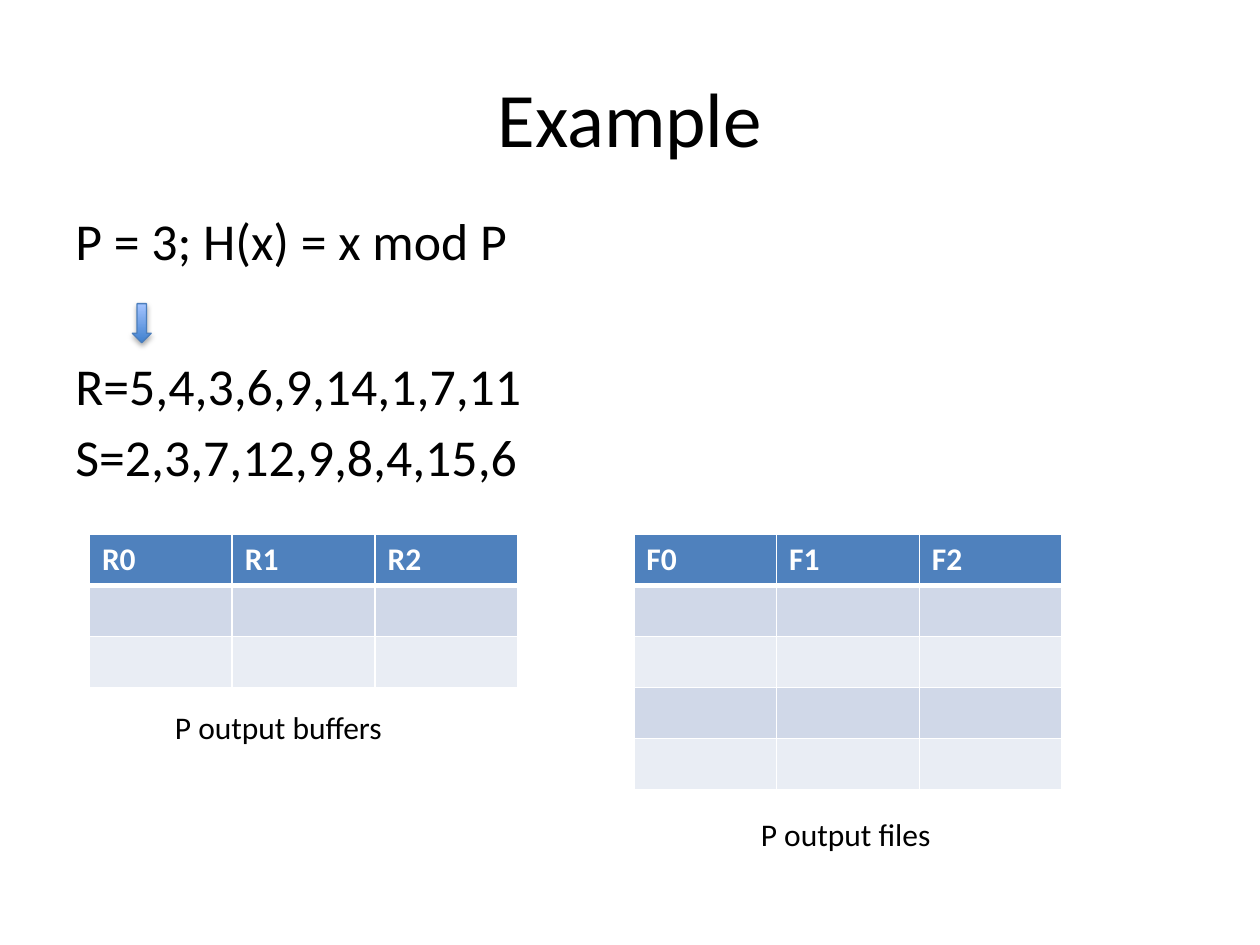
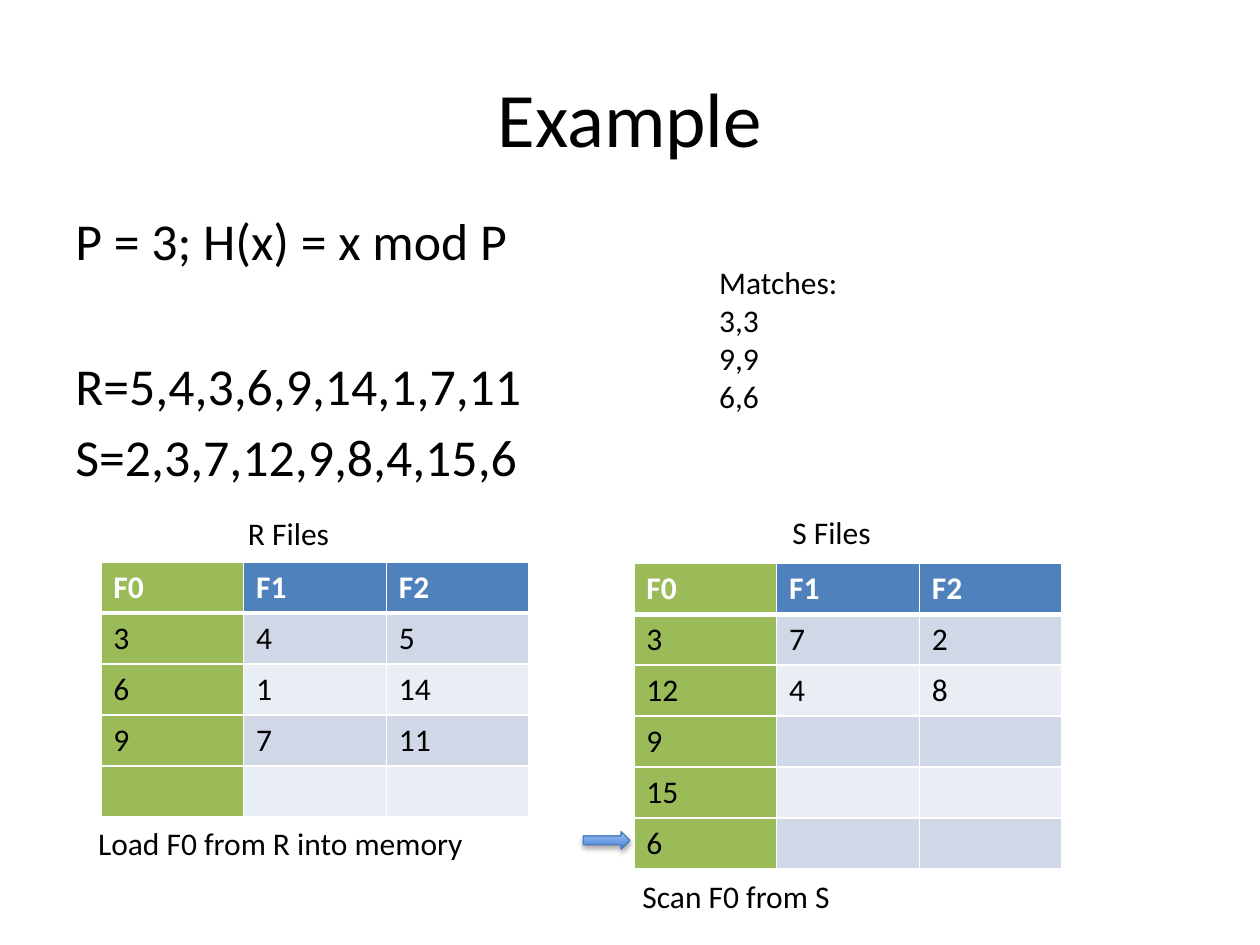
from lxml.etree import SubElement
from pptx import Presentation
from pptx.dml.color import RGBColor
from pptx.enum.shapes import MSO_SHAPE
from pptx.enum.text import MSO_ANCHOR, MSO_AUTO_SIZE, PP_ALIGN
from pptx.oxml import parse_xml
from pptx.oxml.ns import nsdecls, qn
from pptx.util import Pt

PX = 9144
FONT = "Calibri"
BLACK, WHITE = "000000", "FFFFFF"
HEADER, ACTIVE = "4F81BD", "9BBB59"
BANDS = ["D0D8E8", "E9EDF4"]
ARROW_STOPS = ["3F80CE", "A4C4FF"]
ARROW_LINE = "4B7EBC"
TABLE_WIDTH, ROW_HEIGHT = 340, 40.5
FORMULA_LINES = [
    ("P = 3; H(x) = x mod P", 0),
    ("R=5,4,3,6,9,14,1,7,11", 47),
    ("S=2,3,7,12,9,8,4,15,6", 5.3),
]


def color(value):
    return RGBColor.from_string(value)


def emu(*lengths):
    return [round(length * PX) for length in lengths]


def write(paragraph, text, size=18, fill=BLACK, bold=False):
    span = paragraph.add_run()
    span.text = text
    for name, value in {"name": FONT, "size": Pt(size), "bold": bold}.items():
        setattr(span.font, name, value)
    span.font.color.rgb = color(fill)


def add_text(page, place, lines, size=18, align=PP_ALIGN.LEFT, **frame_format):
    frame = page.shapes.add_textbox(*emu(*place)).text_frame
    settings = {"word_wrap": True, "auto_size": MSO_AUTO_SIZE.NONE, **frame_format}
    for name, value in settings.items():
        setattr(frame, name, value)
    for index, (text, gap) in enumerate(lines):
        paragraph = frame.add_paragraph() if index else frame.paragraphs[0]
        paragraph.alignment = align
        paragraph.space_before = Pt(gap)
        write(paragraph, text, size)


def add_label(page, place, *lines):
    add_text(page, place, [(line, 0) for line in lines],
             auto_size=MSO_AUTO_SIZE.SHAPE_TO_FIT_TEXT)


def add_borders(cell, row):
    widths = {"L": 1, "R": 1, "T": 3 if row == 1 else 1, "B": 1 if row else 3}
    properties = cell._tc.get_or_add_tcPr()
    for index, (side, width) in enumerate(widths.items()):
        properties.insert(index, parse_xml(
            f'<a:ln{side} {nsdecls("a")} w="{Pt(width)}"><a:solidFill>'
            f'<a:srgbClr val="{WHITE}"/></a:solidFill></a:ln{side}>'))


def add_bucket_table(page, left, top, headings, rows, active_column=None):
    columns = len(headings)
    place = emu(left, top, TABLE_WIDTH, ROW_HEIGHT * (len(rows) + 1))
    table = page.shapes.add_table(len(rows) + 1, columns, *place).table
    for column in table.columns:
        column.width = round(TABLE_WIDTH * PX / columns)
    for row, values in enumerate([headings, *rows]):
        table.rows[row].height = round(ROW_HEIGHT * PX)
        band = BANDS[(row - 1) % 2] if row else HEADER
        for column in range(columns):
            cell = table.cell(row, column)
            cell.fill.solid()
            cell.fill.fore_color.rgb = color(ACTIVE if column == active_column else band)
            add_borders(cell, row)
            if column < len(values):
                write(cell.text_frame.paragraphs[0], values[column],
                      fill=BLACK if row else WHITE, bold=row == 0)


def add_arrow(page, kind, place):
    arrow = page.shapes.add_shape(kind, *emu(*place))
    arrow.fill.gradient()
    arrow.fill.gradient_angle = 90
    for position, (stop, value) in enumerate(zip(arrow.fill.gradient_stops, ARROW_STOPS)):
        stop.position = position
        stop.color.rgb = color(value)
    arrow.line.color.rgb = color(ARROW_LINE)
    arrow.line.width = Pt(0.75)
    arrow.shadow.inherit = False
    effects = arrow._element.spPr.find(qn("a:effectLst"))
    shadow = SubElement(effects, qn("a:outerShdw"), blurRad=str(Pt(3.1)),
                        dist=str(Pt(1.8)), dir="5400000", rotWithShape="0")
    tint = SubElement(shadow, qn("a:srgbClr"), val=BLACK)
    SubElement(tint, qn("a:alpha"), val="35000")


def add_example_page(deck):
    page = deck.slides.add_slide(deck.slide_layouts[6])
    add_text(page, (50, 30, 900, 125), [("Example", 0)], 44, PP_ALIGN.CENTER,
             vertical_anchor=MSO_ANCHOR.MIDDLE)
    add_text(page, (50, 161, 900, 221), FORMULA_LINES, 29.6)
    return page


def add_partition_page(deck):
    page = add_example_page(deck)
    add_bucket_table(page, 71, 424, ["R0", "R1", "R2"], [[]] * 2)
    add_bucket_table(page, 503, 424, ["F0", "F1", "F2"], [[]] * 4)
    add_arrow(page, MSO_SHAPE.DOWN_ARROW, (105, 241, 15, 31))
    add_label(page, (129, 557, 233, 41), "P output buffers")
    add_label(page, (594, 642, 233, 41), "P output files")


def add_matching_page(deck):
    page = add_example_page(deck)
    files = ["F0", "F1", "F2"]
    r_rows = [["3", "4", "5"], ["6", "1", "14"], ["9", "7", "11"], []]
    s_rows = [["3", "7", "2"], ["12", "4", "8"], ["9"], ["15"], ["6"]]
    add_bucket_table(page, 80, 446, files, r_rows, active_column=0)
    add_bucket_table(page, 503, 447, files, s_rows, active_column=0)
    add_label(page, (187, 403, 244, 40), "R Files")
    add_label(page, (619, 402, 244, 40), "S Files")
    add_label(page, (561, 204, 347, 131), "Matches:", "3,3", "9,9", "6,6")
    add_label(page, (68, 649, 362, 40), "Load F0 from R into memory")
    add_label(page, (500, 691, 362, 40), "Scan F0 from S")
    add_arrow(page, MSO_SHAPE.RIGHT_ARROW, (463, 660, 37, 14))


def main():
    deck = Presentation()
    deck.slide_width, deck.slide_height = emu(1000, 750)
    add_partition_page(deck)
    add_matching_page(deck)
    deck.save("out.pptx")


if __name__ == "__main__":
    main()
